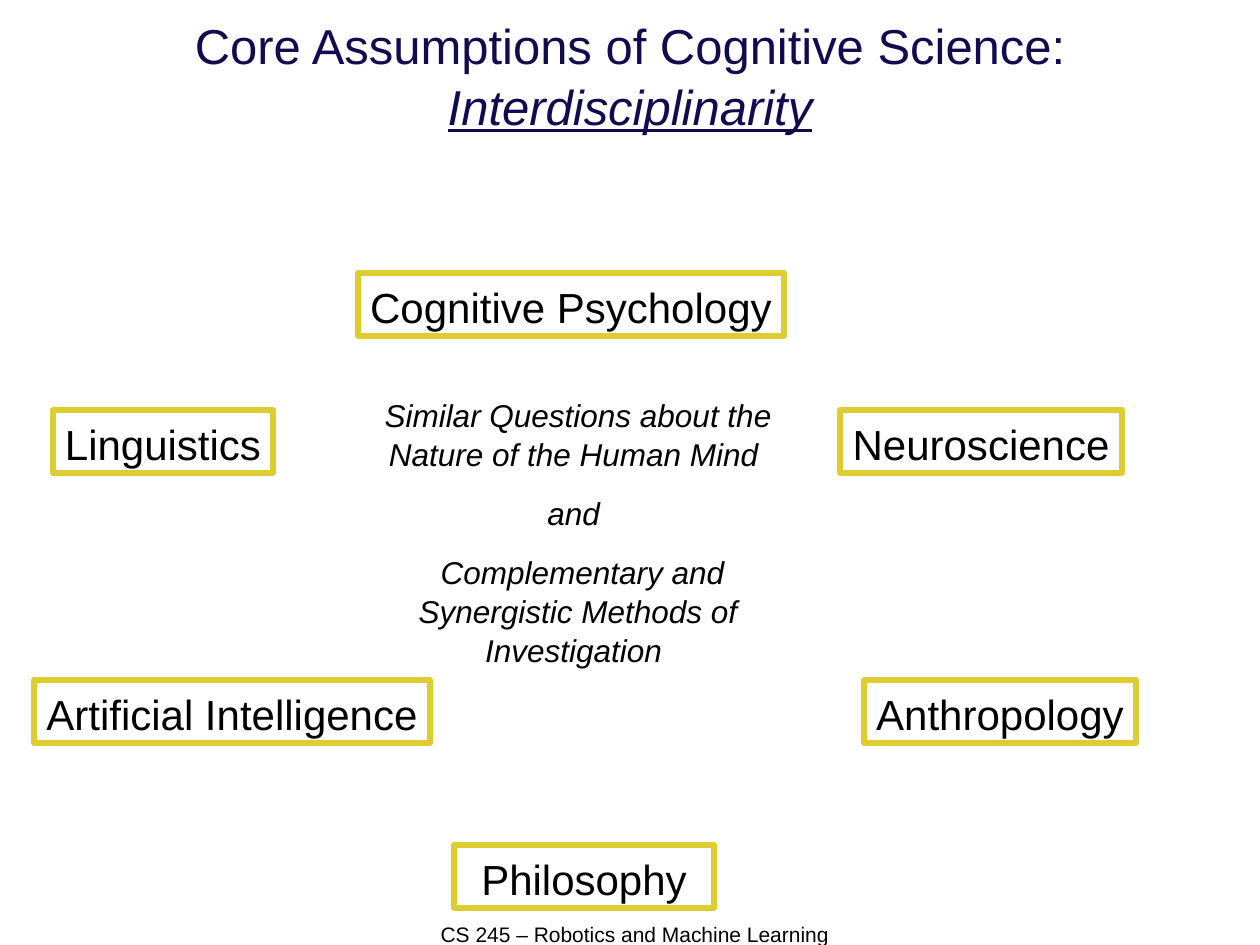
from pptx import Presentation, util as u
from pptx.dml.color import RGBColor
from pptx.enum import shapes, text

NAVY = RGBColor(0x11, 0x0C, 0x50)
BLACK = RGBColor(0x00, 0x00, 0x00)
YELLOW = RGBColor(0xDD, 0xCD, 0x31)

PX_PER_INCH = 126
LINE_SPACING = 1.04
FIELD_HEIGHT = 63
UPPER_ROW, LOWER_ROW = 410, 680

FIELDS = [
    ("Cognitive Psychology", 358, 273, 426),
    ("Artificial Intelligence", 34, LOWER_ROW, 396),
    ("Linguistics", 53, UPPER_ROW, 220),
    ("Anthropology", 864, LOWER_ROW, 272),
    ("Neuroscience", 840, UPPER_ROW, 282),
    ("Philosophy", 454, 845, 260),
]
SHARED_GROUND = [
    "Similar Questions about the Nature of the Human Mind ",
    "and ",
    " Complementary and Synergistic Methods of Investigation ",
]


def px(length):
    return u.Emu(round(length * u.Inches(1) / PX_PER_INCH))


def apply(target, formats):
    for attribute, value in formats.items():
        setattr(target, attribute, value)


def set_frame(frame, **formats):
    apply(frame, {"word_wrap": True, "auto_size": text.MSO_AUTO_SIZE.NONE,
                  "vertical_anchor": text.MSO_ANCHOR.TOP, **formats})


def write(paragraph, wording, size, color=BLACK, **formats):
    apply(paragraph, {"alignment": text.PP_ALIGN.CENTER,
                      "line_spacing": LINE_SPACING})
    run = paragraph.add_run()
    run.text = wording
    apply(run.font, {"name": "Arial", "size": u.Pt(size), **formats})
    run.font.color.rgb = color


def add_text_area(slide, left, top, width, height, **formats):
    area = slide.shapes.add_textbox(px(left), px(top), px(width), px(height))
    set_frame(area.text_frame, **formats)
    return area.text_frame


def add_title(slide):
    title = add_text_area(slide, 0, 32, 1260, 84,
                          vertical_anchor=text.MSO_ANCHOR.MIDDLE)
    heading = title.paragraphs[0]
    write(heading, "Core Assumptions of Cognitive Science: ", 28, NAVY)
    write(heading, "Interdisciplinarity", 28, NAVY, italic=True, underline=True)


def add_field(slide, name, left, top, width):
    field = slide.shapes.add_shape(shapes.MSO_SHAPE.RECTANGLE, px(left), px(top),
                                   px(width), px(FIELD_HEIGHT))
    field.shadow.inherit = False
    field.fill.background()
    field.line.color.rgb = YELLOW
    field.line.width = u.Pt(3)
    set_frame(field.text_frame, word_wrap=False)
    write(field.text_frame.paragraphs[0], name, 24)


def add_shared_ground(slide):
    center = add_text_area(slide, 368, 388, 420, 280)
    for index, statement in enumerate(SHARED_GROUND):
        paragraph = center.add_paragraph() if index else center.paragraphs[0]
        paragraph.space_before = u.Pt(11.2)
        write(paragraph, statement, 18, italic=True)


def add_footer(slide):
    footer = add_text_area(slide, 399, 914, 472, 32)
    write(footer.paragraphs[0], "CS 245 – Robotics and Machine Learning", 12)


def main():
    deck = Presentation()
    apply(deck, {"slide_width": px(1260), "slide_height": px(945)})
    slide = deck.slides.add_slide(deck.slide_layouts[6])
    add_footer(slide)
    add_title(slide)
    for field in FIELDS:
        add_field(slide, *field)
    add_shared_ground(slide)
    deck.save("out.pptx")


if __name__ == "__main__":
    main()
